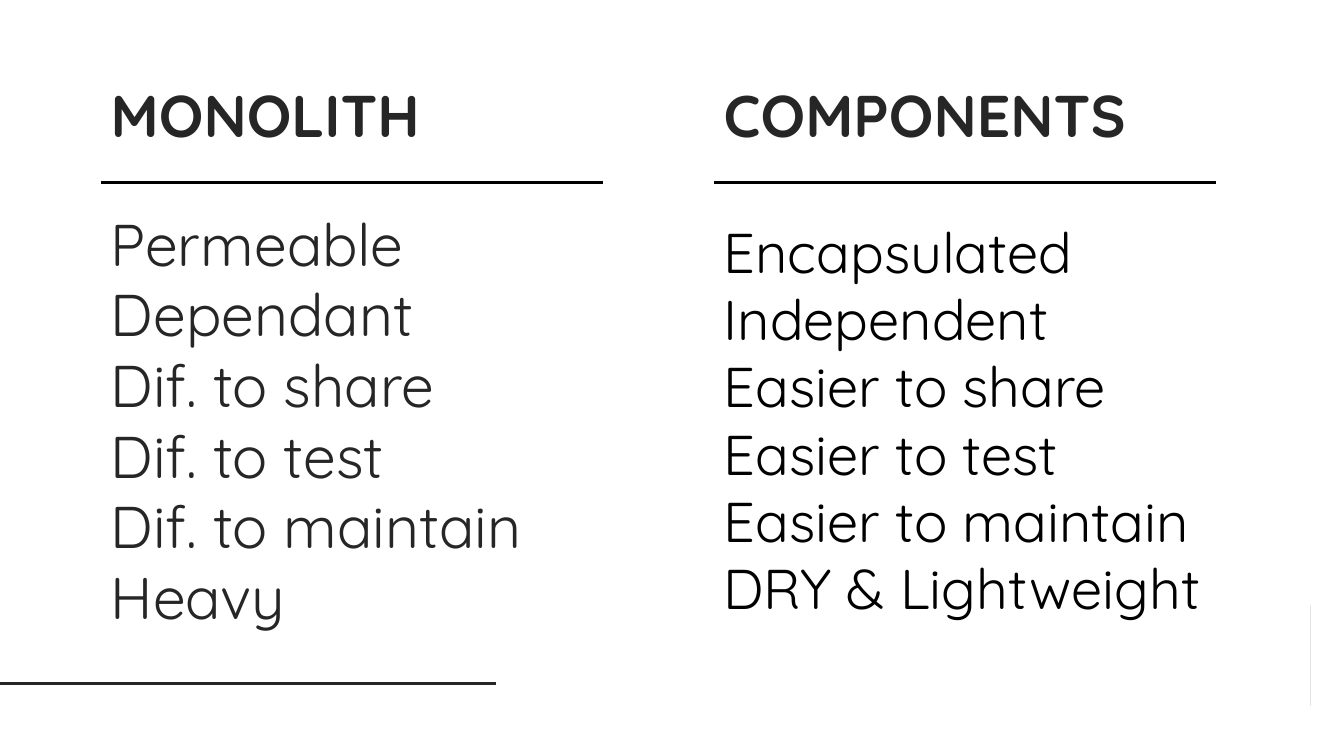
from dataclasses import dataclass
from math import cos, pi, sin

from lxml import etree
from pptx import Presentation, util as u
from pptx.dml.color import RGBColor
from pptx.enum import shapes, text
from pptx.oxml import ns

COLUMNS = [
    {
        "heading": "MONOLITH",
        "traits": ["Permeable", "Dependant", "Dif. to share", "Dif. to test",
                   "Dif. to maintain", "Heavy"],
        "left": 1, "traits_top": 2.01, "traits_width": 5.16, "traits_height": 4.34,
        "size": 42, "color": "262626",
    },
    {
        "heading": "COMPONENTS",
        "traits": ["Encapsulated", "Independent", "Easier to share", "Easier to test",
                   "Easier to maintain", "DRY & Lightweight"],
        "left": 7.08, "traits_top": 2.11, "traits_width": 5.7, "traits_height": 4.14,
        "size": 40, "color": "000000",
    },
]


@dataclass(frozen=True)
class Theme:
    font: str = "Quicksand"
    dark: str = "262626"
    rule: str = "000000"
    background: str = "FFFFFF"
    heading_size: int = 42
    rule_weight: int = 2


THEME = Theme()
SLIDE_W, SLIDE_H = 13.33, 7.5
HEADING_TOP, HEADING_W, HEADING_H = 0.73, 5.16, 0.81
RULE_Y, RULE_W = 1.81, 4.98
FOOTER_Y, FOOTER_W = 6.78, 4.92
RADIUS, ARC_STEPS = 0.45, 48


def add_lines(slide, lines, left, top, width, height, size, color, bold=False):
    box = slide.shapes.add_textbox(*map(u.Inches, (left, top, width, height)))
    frame = box.text_frame
    frame.word_wrap = True
    frame.auto_size = text.MSO_AUTO_SIZE.SHAPE_TO_FIT_TEXT
    for index, line in enumerate(lines):
        paragraph = frame.add_paragraph() if index else frame.paragraphs[0]
        run = paragraph.add_run()
        run.text = line
        run.font.name = THEME.font
        run.font.size = u.Pt(size)
        run.font.bold = bold
        run.font.color.rgb = RGBColor.from_string(color)


def add_rule(slide, left, y, width, color):
    rule = slide.shapes.add_connector(
        shapes.MSO_CONNECTOR.STRAIGHT, *map(u.Inches, (left, y, left + width, y)))
    rule.line.color.rgb = RGBColor.from_string(color)
    rule.line.width = u.Pt(THEME.rule_weight)
    etree.SubElement(rule._element.spPr, ns.qn("a:effectLst"))


def add_edge_semicircle(slide):
    """Half disc on the right edge, its foot level with the footer line."""
    center_y = FOOTER_Y - RADIUS
    angles = [pi * step / ARC_STEPS for step in range(ARC_STEPS + 1)]
    points = [(SLIDE_W - RADIUS * sin(a), center_y - RADIUS * cos(a)) for a in angles]
    builder = slide.shapes.build_freeform(*points[0], scale=u.Inches(1))
    builder.add_line_segments(points[1:], close=True)
    half_disc = builder.convert_to_shape()
    half_disc.shadow.inherit = False
    half_disc.fill.solid()
    half_disc.fill.fore_color.rgb = RGBColor.from_string(THEME.dark)
    half_disc.line.fill.background()


def main():
    deck = Presentation()
    deck.slide_width, deck.slide_height = u.Inches(SLIDE_W), u.Inches(SLIDE_H)
    slide = deck.slides.add_slide(deck.slide_layouts[6])
    slide.background.fill.solid()
    slide.background.fill.fore_color.rgb = RGBColor.from_string(THEME.background)

    add_edge_semicircle(slide)
    add_rule(slide, 0, FOOTER_Y, FOOTER_W, THEME.dark)
    for column in COLUMNS:
        left = column["left"]
        add_lines(slide, column["traits"], left, column["traits_top"],
                  column["traits_width"], column["traits_height"],
                  column["size"], column["color"])
        add_lines(slide, [column["heading"]], left, HEADING_TOP, HEADING_W, HEADING_H,
                  THEME.heading_size, THEME.dark, bold=True)
        add_rule(slide, left, RULE_Y, RULE_W, THEME.rule)
    deck.save("out.pptx")


if __name__ == "__main__":
    main()
